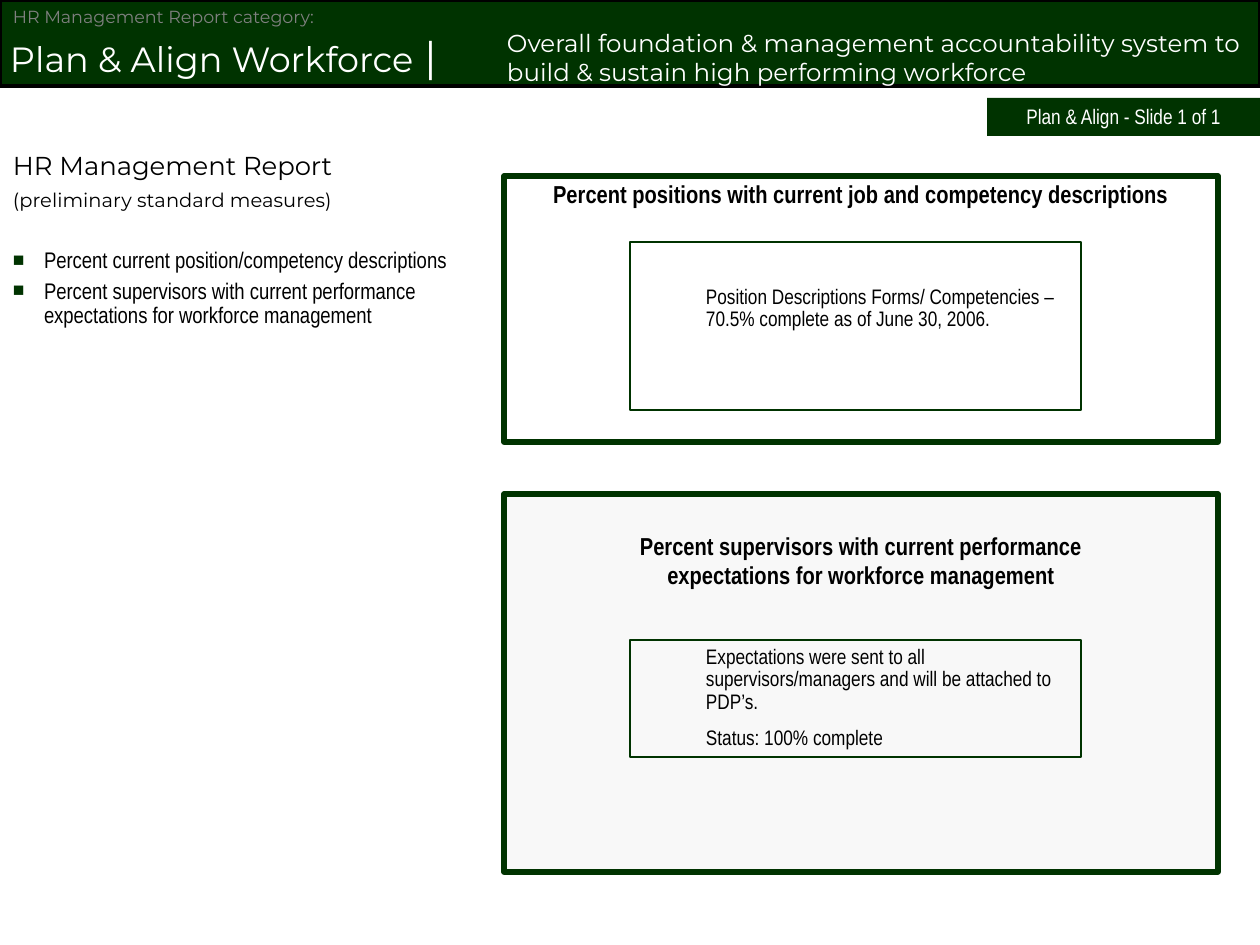
from lxml.etree import SubElement
from pptx import Presentation
from pptx.dml.color import RGBColor
from pptx.enum.shapes import MSO_SHAPE as SHAPE
from pptx.enum.text import MSO_ANCHOR as ANCHOR, MSO_AUTO_SIZE as AUTO, PP_ALIGN as ALIGN
from pptx.oxml.ns import qn
from pptx.util import Emu, Pt

GREEN, BLACK, WHITE, GRAY, PALE = "003300", "000000", "FFFFFF", "808080", "F8F8F8"
HEAD, BODY = "Montserrat", "Arial Narrow"

TITLE = ("Overall foundation & management accountability system to "
         "build & sustain high performing workforce")
CATEGORY = "HR Management Report category:"
SECTION = [("Plan & Align Workforce", 20), (" |", 24)]
PAGE = "Plan & Align - Slide 1 of 1"
REPORT = [("HR Management Report", 14.8, 0), ("(preliminary standard measures)", 11.1, 5.5)]
MEASURES = ["Percent current position/competency descriptions",
            "Percent supervisors with current performance expectations for workforce management"]
POSITIONS = "Percent positions with current job and competency descriptions"
POSITION_STATUS = ["Position Descriptions Forms/ Competencies – 70.5% complete as of June 30, 2006."]
SUPERVISOR_STATUS = ["Expectations were sent to all supervisors/managers and will be attached to PDP’s.",
                     "Status: 100% complete"]

FRAME_X, FRAME_W = 504, 714
INNER_X, INNER_W = 630, 451
INDENT = 63
HANG = 31


def px(n):
    return Emu(n * 914400 // 126)


def rgb(value):
    return RGBColor.from_string(value)


def setup(sp, inset=(13, 6), top=None, anchor=ANCHOR.TOP):
    tf = sp.text_frame
    tf.word_wrap = True
    tf.auto_size = AUTO.NONE
    tf.vertical_anchor = anchor
    tf.margin_left = tf.margin_right = px(inset[0])
    tf.margin_top = px(inset[1] if top is None else top)
    tf.margin_bottom = px(inset[1])
    return tf


def add_text(tf, text, size=12, font=BODY, color=BLACK, bold=False, align=ALIGN.LEFT,
             spacing=1.0, before=0, left=0, hang=0, bullet=None):
    p = tf.paragraphs[0] if not tf.text else tf.add_paragraph()
    p.alignment, p.line_spacing, p.space_before = align, spacing, Pt(before)
    pPr = p._p.get_or_add_pPr()
    pPr.set("marL", str(px(left)))
    pPr.set("indent", str(-px(hang)))
    if bullet:
        clr = SubElement(pPr, qn("a:buClr"))
        SubElement(clr, qn("a:srgbClr"), val=GREEN)
        SubElement(pPr, qn("a:buSzPct"), val="85000")
        SubElement(pPr, qn("a:buChar"), char=bullet)
    else:
        SubElement(pPr, qn("a:buNone"))
    for part, pts in [(text, size)] if isinstance(text, str) else text:
        r = p.add_run()
        r.text = part
        r.font.size, r.font.name, r.font.bold = Pt(pts), font, bold
        r.font.color.rgb = rgb(color)


def place(sp, x, y, w, h):
    sp.left, sp.top, sp.width, sp.height = px(x), px(y), px(w), px(h)


def add_box(s, x, y, w, h, fill=None, line=None, weight=0.75):
    sp = s.shapes.add_shape(SHAPE.RECTANGLE, px(x), px(y), px(w), px(h))
    sp.shadow.inherit = False
    if fill:
        sp.fill.solid()
        sp.fill.fore_color.rgb = rgb(fill)
    else:
        sp.fill.background()
    if line:
        sp.line.color.rgb = rgb(line)
        sp.line.width = Pt(weight)
    else:
        sp.line.fill.background()
    return sp


def add_label(s, x, y, w, h, text, **fmt):
    add_text(setup(s.shapes.add_textbox(px(x), px(y), px(w), px(h))), text, **fmt)


def add_status(s, y, h, lines, top=6):
    tf = setup(add_box(s, INNER_X, y, INNER_W, h, line=GREEN), top=top)
    for i, text in enumerate(lines):
        add_text(tf, text, spacing=0.9, before=7.5 if i else 0, left=INDENT)


def main():
    prs = Presentation()
    prs.slide_width, prs.slide_height = px(1260), px(945)
    s = prs.slides.add_slide(prs.slide_layouts[1])
    title, body = s.placeholders

    place(body, 0, 147, 462, 262)
    tf = setup(body)
    for text, size, before in REPORT:
        add_text(tf, text, size=size, font=HEAD, spacing=0.9, before=before, left=HANG, hang=HANG)
    for i, text in enumerate(MEASURES):
        add_text(tf, text, size=12.9, spacing=0.9, before=3.5 if i else 21.5,
                 left=HANG, hang=HANG, bullet="■")

    bar = add_box(s, 0, 0, 1260, 86, fill=GREEN, line=BLACK, weight=2.25)
    add_text(setup(bar, inset=(10, 5)), SECTION, font=HEAD, color=WHITE, spacing=1.5)
    add_label(s, 0, 0, 378, 34, CATEGORY, size=10, font=HEAD, color=GRAY)

    place(title, 494, 10, 766, 94)
    add_text(setup(title, anchor=ANCHOR.MIDDLE), TITLE, size=14, font=HEAD, color=WHITE)
    s.shapes.element.append(title.element)

    tab = add_box(s, 987, 98, 273, 38, fill=GREEN)
    add_text(setup(tab), PAGE, color=WHITE, align=ALIGN.CENTER)

    frame = add_box(s, FRAME_X, 176, FRAME_W, 266, fill=WHITE, line=GREEN, weight=3)
    add_text(setup(frame), POSITIONS, size=14, bold=True, align=ALIGN.CENTER, spacing=0.9)
    add_status(s, 242, 168, POSITION_STATUS, top=44)

    add_box(s, FRAME_X, 494, FRAME_W, 378, fill=PALE, line=GREEN, weight=3)
    add_label(s, 588, 525, 546, 72, MEASURES[1], size=14, bold=True, align=ALIGN.CENTER)
    add_status(s, 640, 117, SUPERVISOR_STATUS)

    prs.save("out.pptx")


if __name__ == "__main__":
    main()
